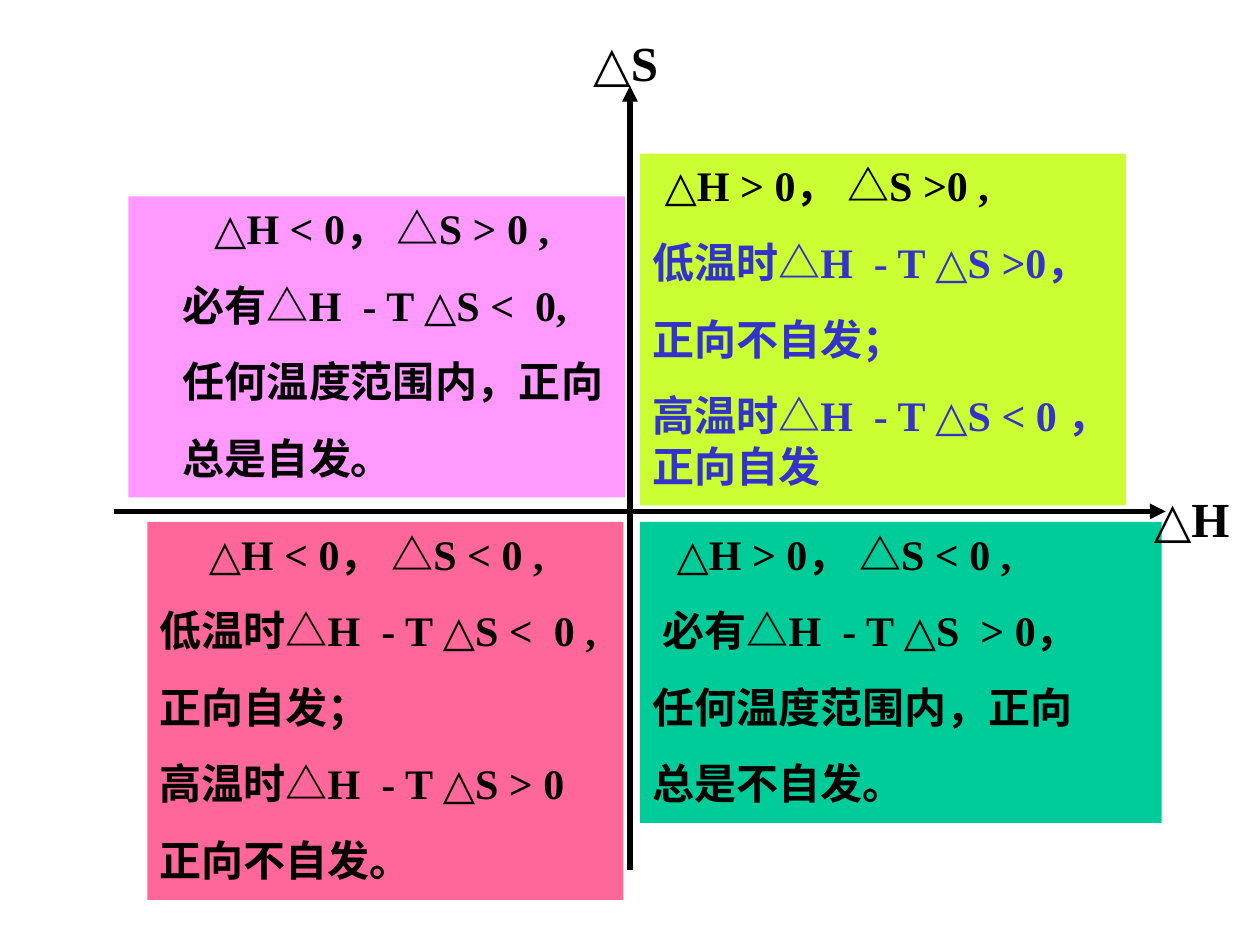
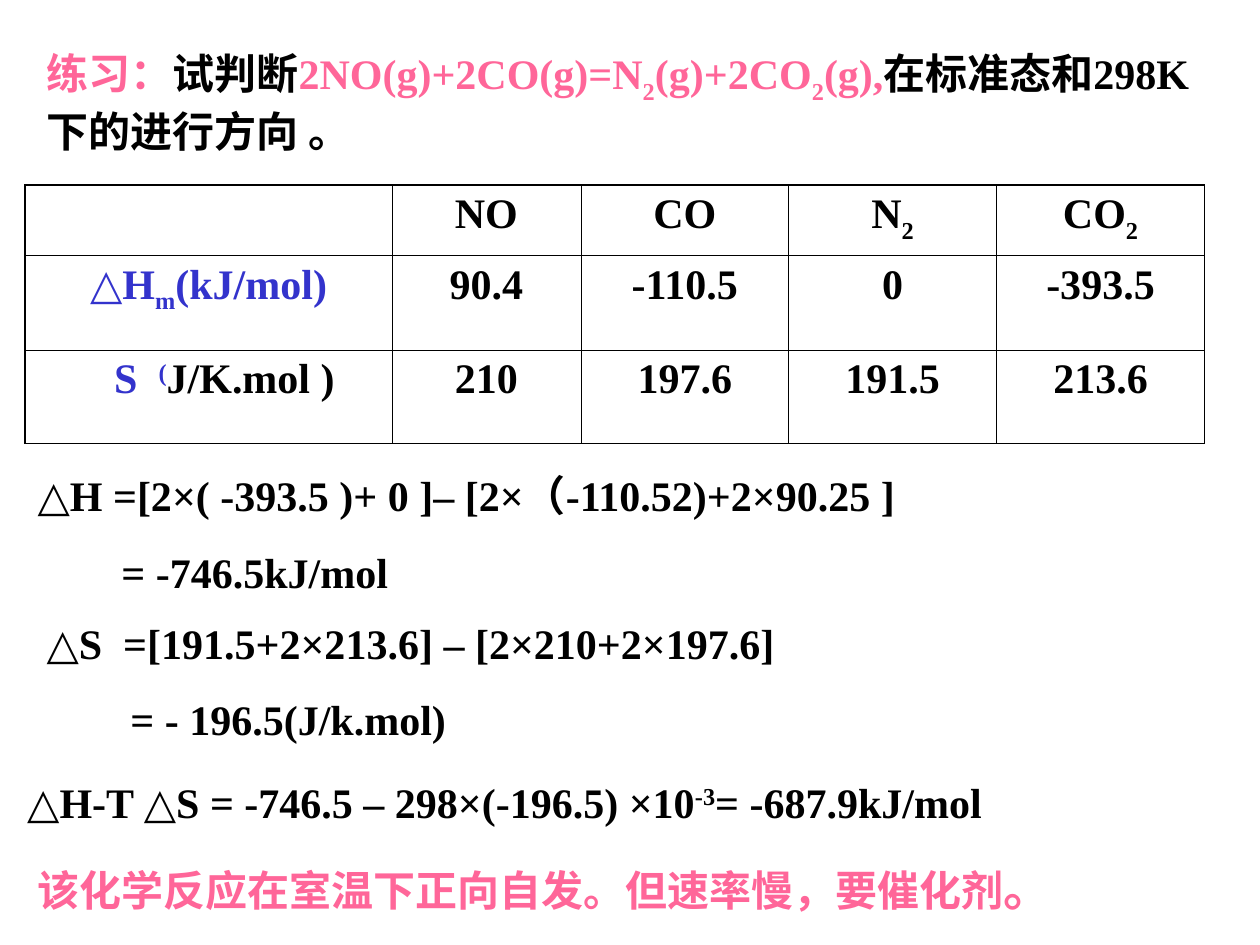
from dataclasses import dataclass
from typing import Optional

import pptx
import pptx.dml.color
import pptx.enum.shapes
import pptx.enum.text
import pptx.oxml
import pptx.oxml.ns
import pptx.util
from pptx.util import Cm, Pt


@dataclass(frozen=True)
class Theme:
    font: str = "Times New Roman"
    body: float = 24
    large: float = 28
    gap: float = 15
    black: str = "000000"
    blue: str = "3333CC"
    pink: str = "FF6699"
    violet: str = "FF99FF"
    lime: str = "CCFF33"
    green: str = "00CC99"
    axis: float = 3
    outer_border: float = 1.08
    inner_border: float = 0.45


THEME = Theme()


@dataclass(frozen=True)
class Run:
    text: str
    color: Optional[str] = None
    baseline: int = 0  # percent of the type size, negative for subscripts
    size: Optional[float] = None


@dataclass(frozen=True)
class Para:
    runs: tuple[Run, ...]
    indent: float = 0  # cm
    color: str = THEME.black
    size: float = THEME.body
    before: float = THEME.gap


@dataclass(frozen=True)
class Box:
    left: float
    top: float
    width: float
    height: float
    paras: tuple[Para, ...]
    fill: Optional[str] = None


def line(text: str, indent: float = 0, color: str = THEME.black,
         size: float = THEME.body) -> Para:
    """A paragraph made of one run."""
    return Para((Run(text),), indent, color, size)


def sub(text: str, color: Optional[str] = None) -> Run:
    return Run(text, color, -25)


def sup(text: str, color: Optional[str] = None) -> Run:
    return Run(text, color, 30)


def rgb(value: str) -> pptx.dml.color.RGBColor:
    return pptx.dml.color.RGBColor.from_string(value)


def write_para(p, para: Para) -> None:
    if para.indent:
        p._p.get_or_add_pPr().set("marL", str(Cm(para.indent)))
    f = p.font
    f.name, f.size, f.bold = THEME.font, Pt(para.size), True
    f.color.rgb = rgb(para.color)
    for run in para.runs:
        r = p.add_run()
        r.text = run.text
        if run.color:
            r.font.color.rgb = rgb(run.color)
        if run.size:
            r.font.size = Pt(run.size)
        if run.baseline:
            r._r.get_or_add_rPr().set("baseline", str(run.baseline * 1000))


def draw_box(s, box: Box) -> None:
    place = [Cm(v) for v in (box.left, box.top, box.width, box.height)]
    if box.fill:
        sp = s.shapes.add_shape(pptx.enum.shapes.MSO_SHAPE.RECTANGLE, *place)
        sp.shadow.inherit = False
        sp.fill.solid()
        sp.fill.fore_color.rgb = rgb(box.fill)
        sp.line.fill.background()
    else:
        sp = s.shapes.add_textbox(*place)
    tf = sp.text_frame
    tf.word_wrap = True
    tf.vertical_anchor = pptx.enum.text.MSO_ANCHOR.TOP
    for i, para in enumerate(box.paras):
        p = tf.add_paragraph() if i else tf.paragraphs[0]
        p.alignment = pptx.enum.text.PP_ALIGN.LEFT
        if i:
            p.space_before = Pt(para.before)
        write_para(p, para)


def draw_axis(s, x1: float, y1: float, x2: float, y2: float) -> None:
    cn = s.shapes.add_connector(pptx.enum.shapes.MSO_CONNECTOR.STRAIGHT,
                                Cm(x1), Cm(y1), Cm(x2), Cm(y2))
    cn.line.color.rgb = rgb(THEME.black)
    cn.line.width = Pt(THEME.axis)
    ln = cn.line._get_or_add_ln()
    tail = pptx.oxml.parse_xml(
        f'<a:tailEnd {pptx.oxml.ns.nsdecls("a")} type="triangle"/>')
    ln.append(tail)
    cn._element.spPr.append(pptx.oxml.parse_xml(
        f'<a:effectLst {pptx.oxml.ns.nsdecls("a")}/>'))


def set_borders(cell, outer: dict[str, bool]) -> None:
    """Draw each side, given as L, R, T, B, thick where it is on the outside."""
    tc_pr = cell._tc.get_or_add_tcPr()
    for side, is_outer in outer.items():
        width = THEME.outer_border if is_outer else THEME.inner_border
        tc_pr.append(pptx.oxml.parse_xml(
            f'<a:ln{side} {pptx.oxml.ns.nsdecls("a")} w="{Pt(width)}">'
            f'<a:solidFill><a:srgbClr val="{THEME.black}"/></a:solidFill>'
            f'</a:ln{side}>'))


def draw_table(s, left: float, top: float, cols: list[float],
               rows: list[float], cells: list[list[Para]]) -> None:
    table = s.shapes.add_table(len(rows), len(cols), Cm(left), Cm(top),
                               Cm(sum(cols)), Cm(sum(rows))).table
    table.first_row = table.horz_banding = False
    for column, width in zip(table.columns, cols):
        column.width = Cm(width)
    for row, height in zip(table.rows, rows):
        row.height = Cm(height)
    for i, paras in enumerate(cells):
        for j, para in enumerate(paras):
            cell = table.cell(i, j)
            set_borders(cell, {"L": j == 0, "R": j == len(cols) - 1,
                               "T": i == 0, "B": i == len(rows) - 1})
            cell.fill.background()
            p = cell.text_frame.paragraphs[0]
            p.alignment = pptx.enum.text.PP_ALIGN.CENTER
            write_para(p, para)


QUADRANTS = (
    Box(2.59, 3.96, 10.01, 6.07, (
        line("△H < 0， △S > 0 ,", 1.48),
        line("必有△H  - T △S <  0,", 0.85),
        line("任何温度范围内，正向", 0.85),
        line("总是自发。", 0.85)), THEME.violet),
    Box(12.9, 10.52, 10.52, 6.07, (
        line("△H > 0， △S < 0 ,", 0.49),
        line("必有△H  - T △S  > 0，", 0.21),
        line("任何温度范围内，正向"),
        line("总是不自发。")), THEME.green),
    Box(12.9, 3.1, 9.8, 7.09, (
        line("△H > 0， △S >0 ,", 0.25),
        line("低温时△H  - T △S >0，", color=THEME.blue),
        line("正向不自发；", color=THEME.blue),
        line("高温时△H  - T △S < 0 ，正向自发", color=THEME.blue)), THEME.lime),
    Box(2.97, 10.52, 9.6, 7.62, (
        line("△H < 0， △S < 0 ,", 0.99),
        line("低温时△H  - T △S <  0 ,"),
        line("正向自发；"),
        line("高温时△H  - T △S > 0"),
        line("正向不自发。")), THEME.pink),
)
AXIS_LABELS = (
    Box(23.01, 9.73, 2.39, 1.45, (line("△H", size=THEME.large),)),
    Box(11.71, 0.53, 2.41, 1.45, (line("△S", size=THEME.large),)),
)

EXERCISE = Box(0.69, 0.84, 23.8, 2.44, (Para((
    Run("练习："), Run("试判断", THEME.black), Run("2NO(g)+2CO(g)=N"), sub("2"),
    Run("(g)+2CO"), sub("2"), Run("(g),"),
    Run("在标准态和298K下的进行方向 。", THEME.black)), color=THEME.pink),))
DATA = [
    [Para(()), line("NO"), line("CO"), Para((Run("N"), sub("2"))),
     Para((Run("CO"), sub("2")))],
    [Para((Run("△H"), sub("m"), Run("(kJ/mol)")), color=THEME.blue),
     *map(line, ("90.4", "-110.5", "0", "-393.5"))],
    [Para((Run("S  ", THEME.blue), sup("(", THEME.blue), Run("J/K.mol )")), 0.64),
     *map(line, ("210", "197.6", "191.5", "213.6"))],
]
SOLUTION = (
    Box(0.51, 9.35, 24, 2.82, (
        line("△H =[2×( -393.5 )+ 0 ]– [2×（-110.52)+2×90.25 ]"),
        line("= -746.5kJ/mol", 1.69))),
    Box(0.69, 12.32, 24, 2.82, (
        line("△S  =[191.5+2×213.6] – [2×210+2×197.6]"),
        line("= - 196.5(J/k.mol)", 1.69))),
    Box(0.3, 15.52, 24.71, 3.07, (
        Para((Run("△H-T △S = -746.5 – 298×(-196.5) ×10"), sup("-3"),
              Run("= -687.9kJ/mol"))),
        Para((Run("该化学反应在室温下正向自发。但速率慢，要催化剂"),
              Run("。", size=THEME.large)),
             0.21, THEME.pink, before=17.5))),
)


def quadrant_slide(s) -> None:
    draw_axis(s, 2.29, 10.31, 23.5, 10.31)
    draw_axis(s, 12.7, 17.53, 12.7, 1.73)
    for box in QUADRANTS + AXIS_LABELS:
        draw_box(s, box)


def exercise_slide(s) -> None:
    draw_box(s, EXERCISE)
    draw_table(s, 0.51, 3.73, [7.39, 3.81] + [4.19] * 3, [1.42, 1.91, 1.88], DATA)
    for box in SOLUTION:
        draw_box(s, box)


def main() -> None:
    prs = pptx.Presentation()
    prs.slide_width, prs.slide_height = Cm(25.4), Cm(19.05)
    for build in (quadrant_slide, exercise_slide):
        build(prs.slides.add_slide(prs.slide_layouts[6]))
    prs.save("out.pptx")


if __name__ == "__main__":
    main()
